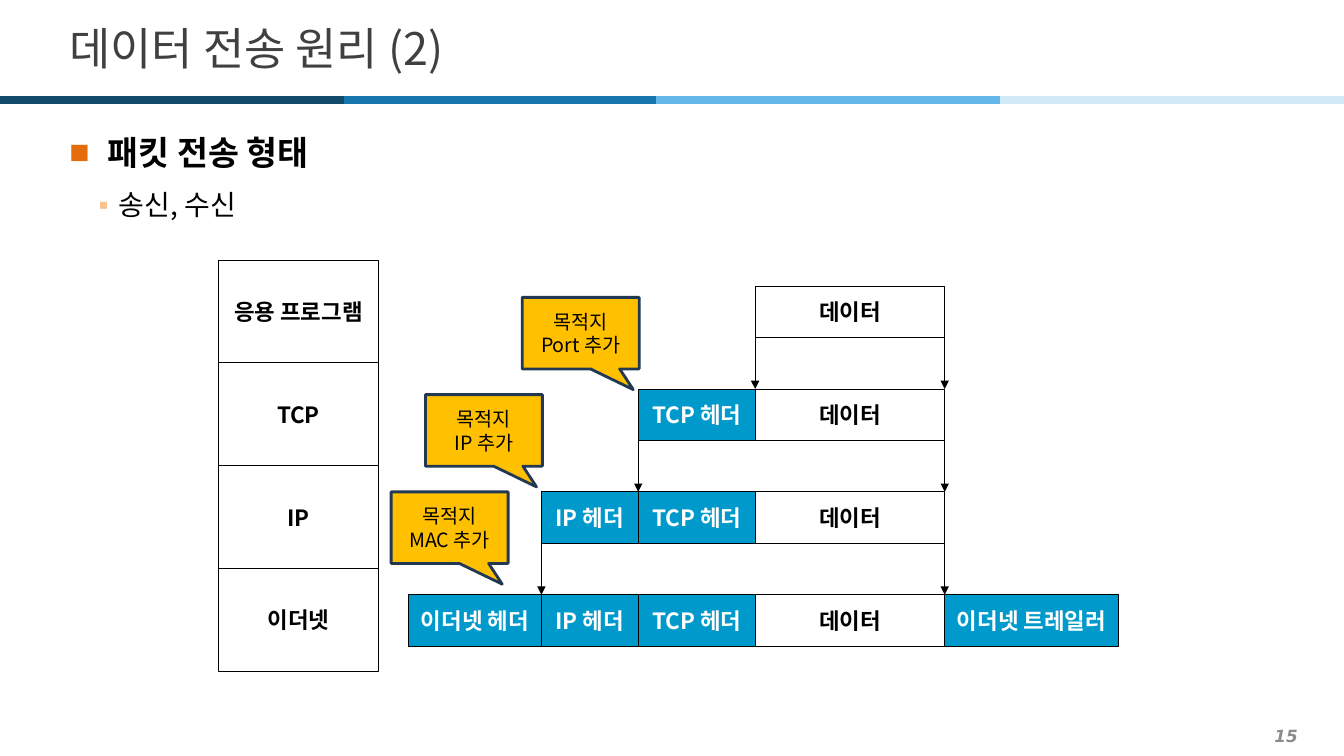
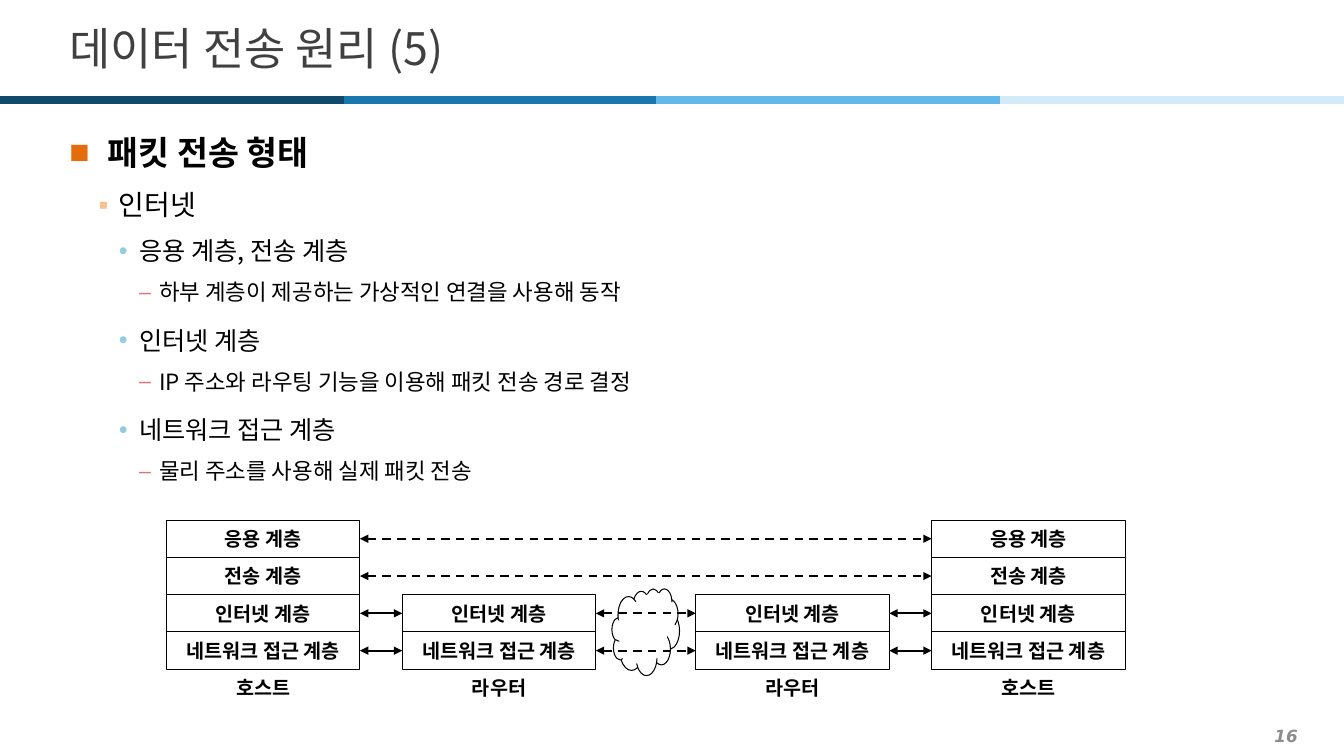
from itertools import pairwise

from lxml import etree
from pptx import Presentation
from pptx.dml.color import RGBColor
from pptx.enum.dml import MSO_LINE
from pptx.enum.shapes import MSO_CONNECTOR, MSO_SHAPE
from pptx.enum.text import MSO_ANCHOR, PP_ALIGN
from pptx.oxml.ns import qn
from pptx.util import Inches, Pt

RECT, OVAL = MSO_SHAPE.RECTANGLE, MSO_SHAPE.OVAL
CALLOUT, CLOUD = MSO_SHAPE.RECTANGULAR_CALLOUT, MSO_SHAPE.CLOUD_CALLOUT
LEFT, MID, RIGHT = PP_ALIGN.LEFT, PP_ALIGN.CENTER, PP_ALIGN.RIGHT
TOP, CENTER = MSO_ANCHOR.TOP, MSO_ANCHOR.MIDDLE
DASH = MSO_LINE.DASH
KOREAN, LATIN, NUMBER = "Noto Sans CJK KR", "Arial", "DejaVu Sans"

COLORS = {
    "black": "000000", "white": "FFFFFF", "title": "404040", "page": "8C8C8C",
    "navy": "0F4A6B", "blue": "1877AC", "sky": "61B8E9", "pale": "D3EBF9",
    "head": "0099CC", "note": "FFC000", "edge": "233953",
    "orange": "E46C0A", "peach": "FAC090", "aqua": "93CDDD", "rose": "D9737E",
}

# Shared band: colour, start, end
BAND = [("blue", 3.1, 6.51), ("sky", 6.51, 9.92), ("pale", 9.92, 13.33),
        ("navy", 0, 3.41)]

# Outline levels: size, bold, latin font, indent, hang, line spacing,
# space before, space after, bullet, bullet colour, bullet percent
LEVELS = [
    (24, True, LATIN, 0.38, 0.38, 1.2, 0, 2, "■", "orange", 100),
    (20, False, KOREAN, 0.49, 0.2, 1.3, 2, 2, "▪", "peach", 100),
    (18, False, KOREAN, 0.69, 0.2, 1.2, 3.6, 6, "•", "aqua", 100),
    (16, False, KOREAN, 0.89, 0.2, 1.0, 3.2, 6, "–", "rose", 96),
]

# Packet slide
SEND = [(0, "패킷 전송 형태"), (1, "송신, 수신")]
STACK = ["응용 프로그램", "TCP", "IP", "이더넷"]
PARTS = {  # label, left, right, is it a header
    "eth": ("이더넷 헤더", 4.05, 5.37, True),
    "ip": ("IP 헤더", 5.37, 6.33, True),
    "tcp": ("TCP 헤더", 6.33, 7.49, True),
    "data": ("데이터", 7.49, 9.37, False),
    "tail": ("이더넷 트레일러", 9.37, 11.09, True),
}
PACKETS = [["data"], ["tcp", "data"], ["ip", "tcp", "data"],
           ["eth", "ip", "tcp", "data", "tail"]]
NOTES = [(5.18, ["목적지", "Port 추가"]), (4.22, ["목적지", "IP 추가"]),
         (3.88, ["목적지 MAC 추가"])]

# Internet slide
NET = [
    (0, "패킷 전송 형태"), (1, "인터넷"),
    (2, "응용 계층, 전송 계층"),
    (3, "하부 계층이 제공하는 가상적인 연결을 사용해 동작"),
    (2, "인터넷 계층"),
    (3, "IP 주소와 라우팅 기능을 이용해 패킷 전송 경로 결정"),
    (2, "네트워크 접근 계층"),
    (3, "물리 주소를 사용해 실제 패킷 전송"),
]
LAYERS = ["응용 계층", "전송 계층", "인터넷 계층", "네트워크 접근 계층"]
NODES = [("호스트", 1.65, 0), ("라우터", 3.99, 2),  # name, left, top layer
         ("라우터", 6.9, 2), ("호스트", 9.24, 0)]


def color(name):
    return RGBColor.from_string(COLORS[name])


def add_run(para, text, size, tint="black", bold=False, font=KOREAN):
    run = para.add_run()
    run.text = text
    run.font.size, run.font.bold, run.font.name = Pt(size), bold, font
    run.font.color.rgb = color(tint)
    east = etree.SubElement(run.font._element, qn("a:ea"))
    east.set("typeface", KOREAN)
    return run


def write(shape, lines, size, tint="black", bold=False, align=MID,
          wrap=True, font=KOREAN):
    frame = shape.text_frame
    frame.word_wrap, frame.vertical_anchor = wrap, CENTER
    for i, text in enumerate(lines):
        para = frame.add_paragraph() if i else frame.paragraphs[0]
        para.alignment = align
        run = add_run(para, text, size, tint, bold, font)
    return run


def add_text(slide, *box):
    return slide.shapes.add_textbox(*map(Inches, box))


def add_box(slide, kind, box, fill=None, edge="black", width=0.75):
    shape = slide.shapes.add_shape(kind, *map(Inches, box))
    shape.shadow.inherit = False
    if fill:
        shape.fill.solid()
        shape.fill.fore_color.rgb = color(fill)
    else:
        shape.fill.background()
    shape.line.color.rgb, shape.line.width = color(edge), Pt(width)
    return shape


def add_line(slide, start, end, tint="black", width=0.75, ends=(), dash=None):
    line = slide.shapes.add_connector(
        MSO_CONNECTOR.STRAIGHT, *map(Inches, (*start, *end)))
    line.line.color.rgb, line.line.width = color(tint), Pt(width)
    if dash:
        line.line.dash_style = dash
    for tag in ends:
        tip = etree.SubElement(line.line._get_or_add_ln(), qn(tag))
        tip.set("type", "triangle")
    etree.SubElement(line._element.spPr, qn("a:effectLst"))


def add_bullet(para, mark, tint, scale, indent, hang):
    props = para._p.get_or_add_pPr()
    props.set("marL", str(Inches(indent)))
    props.set("indent", str(-Inches(hang)))
    tone = etree.SubElement(props, qn("a:buClr"))
    etree.SubElement(tone, qn("a:srgbClr")).set("val", COLORS[tint])
    etree.SubElement(props, qn("a:buSzPct")).set("val", str(scale * 1000))
    etree.SubElement(props, qn("a:buFont")).set("typeface", LATIN)
    etree.SubElement(props, qn("a:buChar")).set("char", mark)


def add_list(slide, items):
    frame = add_text(slide, 0.59, 1.18, 12.21, 6.03).text_frame
    frame.word_wrap, frame.vertical_anchor = True, TOP
    for i, (level, text) in enumerate(items):
        (size, bold, font, indent, hang, gap, before, after,
         mark, tint, scale) = LEVELS[level]
        para = frame.add_paragraph() if i else frame.paragraphs[0]
        para.level, para.line_spacing = level, gap
        para.space_before, para.space_after = Pt(before), Pt(after)
        add_bullet(para, mark, tint, scale, indent, hang)
        add_run(para, text, size, bold=bold, font=font)


def add_page(deck, title, number, items):
    slide = deck.slides.add_slide(deck.slide_layouts[6])
    page = add_text(slide, 0.2, 7.14, 12.77, 0.31)
    run = write(page, [number], 12, "page", True, RIGHT, font=NUMBER)
    run.font.italic = True
    for tint, left, right in BAND:
        add_line(slide, (left, 0.99), (right, 0.99), tint, 6)
    write(add_text(slide, 0.59, 0.13, 12.21, 0.68), [title], 32, "title",
          align=LEFT)
    add_list(slide, items)
    return slide


def draw_packets(slide):
    step, high, top = 1.02, 0.51, 2.84
    # Protocol stack
    for i, name in enumerate(STACK):
        cell = add_box(slide, RECT, (2.17, 2.58 + i * step, 1.58, step))
        write(cell, [name], 16, bold=True, wrap=False)
    # Packet at each layer
    for i, keys in enumerate(PACKETS):
        y = top + i * step
        for key in keys:
            label, left, right, head = PARTS[key]
            part = add_box(slide, RECT, (left, y, right - left, high),
                           "head" if head else None)
            write(part, [label], 16, "white" if head else "black", True,
                  wrap=False)
        # Arrows down to the next layer
        if i < len(PACKETS) - 1:
            for x in (PARTS[keys[0]][1], PARTS[keys[-1]][2]):
                add_line(slide, (x, y + high), (x, y + step),
                         ends=["a:tailEnd"])
    # Callouts
    for i, (left, lines) in enumerate(NOTES):
        note = add_box(slide, CALLOUT, (left, 2.95 + i * 0.965, 1.16, 0.71),
                       "note", "edge", 2)
        note.adjustments[0], note.adjustments[1] = 0.45, 0.79
        write(note, lines, 14)


def draw_net(slide):
    top, high, wide = 5.16, 0.37, 1.92
    # Cloud between the routers
    cloud = add_box(slide, CLOUD, (6.07, 5.84, 0.67, 0.86), "white")
    cloud.adjustments[0], cloud.adjustments[1] = 0.06, -0.06
    add_box(slide, OVAL, (6.32, 5.88, 0.34, 0.51), "white", "white")
    # Layers and name of each node
    for name, left, first in NODES:
        for i in range(first, len(LAYERS)):
            cell = add_box(slide, RECT, (left, top + i * high, wide, high))
            write(cell, [LAYERS[i]], 14, bold=True, wrap=False)
        label = add_text(slide, left, top + len(LAYERS) * high, wide, high)
        write(label, [name], 14, bold=True, wrap=False)
    # Links between neighbours on a layer, dashed when not direct
    for i in range(len(LAYERS)):
        y = top + (i + 0.5) * high
        spots = [left for _, left, first in NODES if first <= i]
        for left, right in pairwise(spots):
            start = left + wide
            add_line(slide, (start, y), (right, y), width=1.5,
                     ends=["a:headEnd", "a:tailEnd"],
                     dash=DASH if right - start > 0.5 else None)


def main():
    deck = Presentation()
    deck.slide_width, deck.slide_height = Inches(13.33), Inches(7.5)
    draw_packets(add_page(deck, "데이터 전송 원리 (2)", "15", SEND))
    draw_net(add_page(deck, "데이터 전송 원리 (5)", "16", NET))
    deck.save("out.pptx")


if __name__ == "__main__":
    main()
